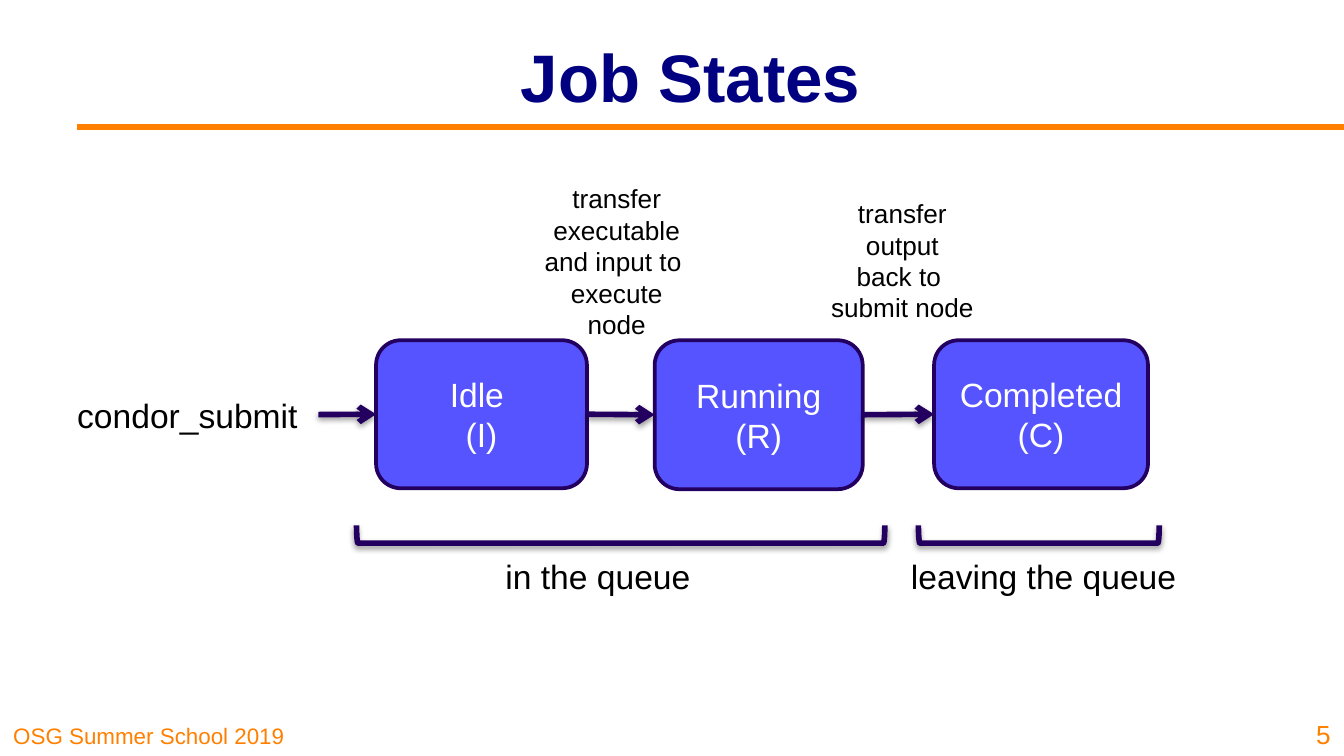
from dataclasses import dataclass

from lxml.etree import SubElement
from pptx import Presentation
from pptx.dml.color import RGBColor
from pptx.enum.shapes import MSO_CONNECTOR as Connector, MSO_SHAPE as Preset
from pptx.enum.text import MSO_ANCHOR as Anchor, MSO_AUTO_SIZE as AutoSize, PP_ALIGN as Align
from pptx.oxml.ns import qn
from pptx.util import Pt

ORANGE, NAVY, INDIGO, VIOLET = "FF8000", "000080", "23005F", "5554FF"
BLACK, WHITE = "000000", "FFFFFF"


@dataclass
class Box:
    left: float
    top: float
    width: float
    height: float

    def lengths(self) -> list:
        return [Pt(v) for v in (self.left, self.top, self.width, self.height)]


@dataclass
class Text:
    lines: list[str]
    size: float = 18
    color: str = BLACK
    align: Align = Align.CENTER
    anchor: Anchor = Anchor.MIDDLE
    bold: bool = False
    wrap: bool = True


@dataclass
class State:
    lines: list[str]
    box: Box


@dataclass
class Phase:
    label: str
    label_box: Box
    start: float
    end: float


def rgb(color: str) -> RGBColor:
    return RGBColor.from_string(color)


def write(frame, text: Text) -> None:
    frame.word_wrap = text.wrap
    frame.vertical_anchor = text.anchor
    for i, line in enumerate(text.lines):
        paragraph = frame.paragraphs[0] if i == 0 else frame.add_paragraph()
        paragraph.text = line
        paragraph.alignment = text.align
        font = paragraph.font
        font.name, font.size, font.bold = "Arial", Pt(text.size), text.bold
        font.color.rgb = rgb(text.color)


def add_text(slide, box: Box, text: Text) -> None:
    frame = slide.shapes.add_textbox(*box.lengths()).text_frame
    write(frame, text)
    if not text.wrap:
        frame.auto_size = AutoSize.SHAPE_TO_FIT_TEXT


def add_rounded(slide, box: Box, text: Text, fill: str = "", line: str = "") -> None:
    shape = slide.shapes.add_shape(Preset.ROUNDED_RECTANGLE, *box.lengths())
    shape.shadow.inherit = False
    if fill:
        shape.fill.solid()
        shape.fill.fore_color.rgb = rgb(fill)
    else:
        shape.fill.background()
    if line:
        shape.line.color.rgb = rgb(line)
        shape.line.width = Pt(2)
    else:
        shape.line.fill.background()
    write(shape.text_frame, text)


def add_effects(shape, shadow: bool) -> None:
    """Replace the theme's effects with a soft drop shadow or with none."""
    properties = shape.element.spPr
    for old in properties.findall(qn("a:effectLst")):
        properties.remove(old)
    effects = SubElement(properties, qn("a:effectLst"))
    if shadow:
        outer = SubElement(effects, qn("a:outerShdw"), blurRad=str(Pt(3.1)),
                           dist=str(Pt(1.6)), dir="5400000", rotWithShape="0")
        shade = SubElement(outer, qn("a:srgbClr"), val=BLACK)
        SubElement(shade, qn("a:alpha"), val="38000")


def add_line(slide, x1: float, y1: float, x2: float, y2: float,
             color: str, arrow: bool = False) -> None:
    line = slide.shapes.add_connector(Connector.STRAIGHT, Pt(x1), Pt(y1), Pt(x2), Pt(y2))
    line.line.color.rgb = rgb(color)
    line.line.width = Pt(3)
    if arrow:
        SubElement(line.line._get_or_add_ln(), qn("a:tailEnd"), type="arrow")
    add_effects(line, shadow=arrow)


def add_bracket(slide, start: float, end: float, top: float, depth: float = 9.5) -> None:
    """Draw a bracket that opens upwards, as a right bracket turned by 90 degrees."""
    span = end - start
    box = Box((start + end - depth) / 2, top + (depth - span) / 2, depth, span)
    bracket = slide.shapes.add_shape(Preset.RIGHT_BRACKET, *box.lengths())
    bracket.rotation = 90
    bracket.fill.background()
    bracket.line.color.rgb = rgb(INDIGO)
    bracket.line.width = Pt(3)
    add_effects(bracket, shadow=True)


STATES = [
    State(["Idle ", "(I)"], Box(201.5, 182.3, 113, 79.3)),
    State(["Running (R)"], Box(350.7, 182.3, 111.5, 79.8)),
    State(["Completed", "(C)"], Box(500.4, 182.3, 114.6, 79.3)),
]
TRANSFERS = [
    (["transfer", "executable", "and input to ", "execute", "node"], Box(284.4, 94.4, 92, 92)),
    (["transfer", "output", "back to ", "submit node"], Box(437.7, 102.3, 91.5, 75)),
]
PHASES = [
    Phase("in the queue", Box(246.2, 288.9, 148.3, 39.5), 191, 474),
    Phase("leaving the queue", Box(470.2, 288.9, 177.8, 39.5), 492, 621),
]


def main() -> None:
    deck = Presentation()
    deck.slide_width, deck.slide_height = Pt(720), Pt(405)
    slide = deck.slides.add_slide(deck.slide_layouts[6])

    add_text(slide, Box(0, 382.3, 178.5, 22.3),
             Text(["OSG Summer School 2019"], 12, ORANGE, Align.LEFT, Anchor.BOTTOM))
    add_line(slide, 41.2, 68.2, 720, 68.2, ORANGE)
    add_text(slide, Box(96.5, 6.5, 547, 67.7), Text(["Job States"], 36, NAVY, bold=True))

    submit = Box(30.2, 202.3, 140.4, 39.6)
    add_rounded(slide, submit, Text(["condor_submit"]), WHITE)
    for state in STATES:
        add_rounded(slide, state.box, Text(state.lines, color=WHITE), VIOLET, INDIGO)

    steps = [submit] + [state.box for state in STATES]
    for source, target in zip(steps, steps[1:]):
        add_line(slide, source.left + source.width, source.top + source.height / 2,
                 target.left, target.top + target.height / 2, INDIGO, arrow=True)

    for lines, box in TRANSFERS:
        add_text(slide, box, Text(lines, 14, anchor=Anchor.TOP, wrap=False))
    for phase in PHASES:
        add_bracket(slide, phase.start, phase.end, 281.5)
        add_rounded(slide, phase.label_box, Text([phase.label]))

    add_text(slide, Box(686.9, 378, 33.1, 27),
             Text(["5"], 14, ORANGE, Align.RIGHT, Anchor.BOTTOM))
    deck.save("out.pptx")


if __name__ == "__main__":
    main()
